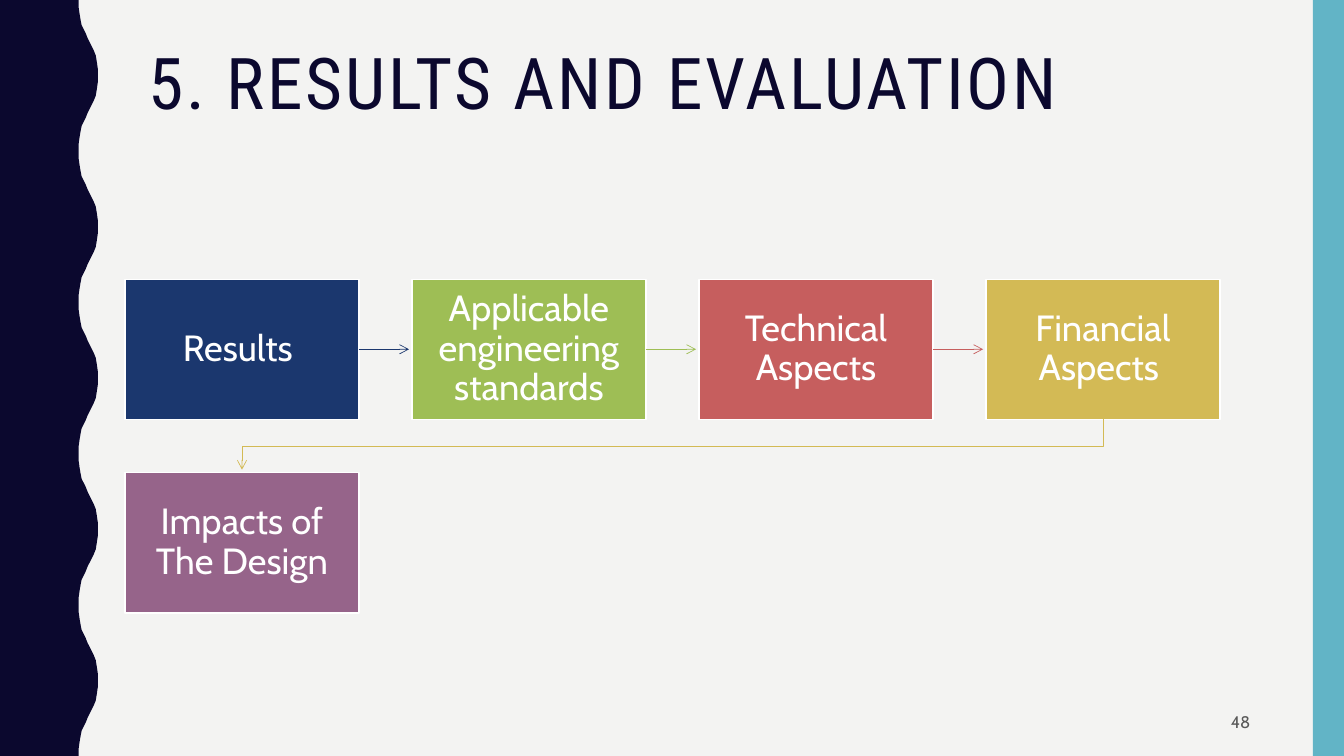
from dataclasses import dataclass

from lxml.etree import SubElement
from pptx import Presentation
from pptx.dml.color import RGBColor
from pptx.enum.shapes import MSO_CONNECTOR, MSO_SHAPE
from pptx.enum.text import MSO_ANCHOR, PP_ALIGN
from pptx.oxml.ns import qn
from pptx.util import Inches, Pt


@dataclass(frozen=True)
class Theme:
    background: str = "F3F3F2"
    navy: str = "0B082E"
    teal: str = "62B4C6"
    white: str = "FFFFFF"
    grey: str = "595959"
    steps: tuple = ("1B376E", "9EBE55", "C65E5E", "D3BA55", "96648A")
    title_font: str = "Roboto Condensed"
    body_font: str = "Cabin"
    title_size: int = 51
    step_size: int = 26
    number_size: int = 12


theme = Theme()


def style_text(paragraph, font_name, size, color, align):
    paragraph.alignment = align
    for span in paragraph.runs:
        span.font.name = font_name
        span.font.size = Pt(size)
        span.font.color.rgb = RGBColor.from_string(color)


def style_arrow(arrow, color):
    arrow.line.color.rgb = RGBColor.from_string(color)
    arrow.line.width = Pt(0.5)
    SubElement(arrow.line._get_or_add_ln(), qn("a:tailEnd"), type="arrow")
    SubElement(arrow._element.spPr, qn("a:effectLst"))


deck = Presentation()
deck.slide_width = Inches(13.33)
deck.slide_height = Inches(7.5)
page = deck.slides.add_slide(deck.slide_layouts[5])
page.background.fill.solid()
page.background.fill.fore_color.rgb = RGBColor.from_string(theme.background)

# Wavy left edge: half a wave, mirrored and repeated five times
half_wave = [(0.78, 0), (0.78, 0.07), (0.79, 0.14), (0.8, 0.2), (0.81, 0.25),
             (0.83, 0.29), (0.85, 0.33), (0.87, 0.38), (0.89, 0.42), (0.91, 0.46),
             (0.93, 0.5), (0.95, 0.55), (0.96, 0.61), (0.97, 0.68), (0.97, 0.75)]
wave_height = 1.5
full_wave = half_wave + [(x, wave_height - y) for x, y in reversed(half_wave[:-1])]
edge = [(Inches(x), Inches(y + wave_height * turn))
        for turn in range(5) for x, y in full_wave]
builder = page.shapes.build_freeform(0, 0)
builder.add_line_segments(edge + [(0, Inches(7.5))], close=True)
wave = builder.convert_to_shape()

# Right band
band = page.shapes.add_shape(MSO_SHAPE.RECTANGLE, Inches(13.02), 0, Inches(0.31), Inches(7.5))
for panel, color in ((wave, theme.navy), (band, theme.teal)):
    panel.shadow.inherit = False
    panel.fill.solid()
    panel.fill.fore_color.rgb = RGBColor.from_string(color)
    panel.line.fill.background()

# Title
title = page.shapes.title
title.left, title.top = Inches(1.37), Inches(0.42)
title.width, title.height = Inches(11.13), Inches(1.63)
title.text_frame.text = "5. RESULTS AND EVALUATION"
title.text_frame.vertical_anchor = MSO_ANCHOR.TOP
para = title.text_frame.paragraphs[0]
para.line_spacing = 0.9
style_text(para, theme.title_font, theme.title_size, theme.navy, PP_ALIGN.LEFT)
para.runs[0].font._element.set("spc", "200")

# Step boxes, four to a row
labels = ["Results ", "Applicable engineering standards", "Technical Aspects",
          "Financial Aspects ", "Impacts of The Design"]
columns = 4
left, top = 1.24, 2.77
width, height = 2.32, 1.39
column_step, row_step = 8.54 / 3, 1.92
boxes = []
for index, (label, color) in enumerate(zip(labels, theme.steps)):
    row, column = divmod(index, columns)
    box = page.shapes.add_shape(
        MSO_SHAPE.RECTANGLE, Inches(left + column * column_step),
        Inches(top + row * row_step), Inches(width), Inches(height))
    box.shadow.inherit = False
    box.fill.solid()
    box.fill.fore_color.rgb = RGBColor.from_string(color)
    box.line.color.rgb = RGBColor.from_string(theme.white)
    box.line.width = Pt(1)
    frame = box.text_frame
    frame.text = label
    frame.word_wrap = True
    frame.vertical_anchor = MSO_ANCHOR.MIDDLE
    frame.margin_left = frame.margin_right = Inches(0.11)
    frame.margin_top = frame.margin_bottom = Inches(0.12)
    frame.paragraphs[0].line_spacing = 0.9
    style_text(frame.paragraphs[0], theme.body_font, theme.step_size, theme.white,
               PP_ALIGN.CENTER)
    boxes.append(box)

# Arrows along the first row, stopping just short of the next box
gap = Inches(0.03)
for box, following, color in zip(boxes, boxes[1:columns], theme.steps):
    middle = box.top + box.height // 2
    arrow = page.shapes.add_connector(
        MSO_CONNECTOR.STRAIGHT, box.left + box.width, middle, following.left - gap, middle)
    arrow.begin_connect(box, 3)
    style_arrow(arrow, color)

# Elbow arrow from the end of the first row to the second, turned to leave downwards
last, below = boxes[columns - 1], boxes[columns]
start_y = last.top + last.height
drop = below.top - gap - start_y
run = last.left - below.left
center_x = below.left + below.width // 2 + run // 2
center_y = start_y + drop // 2
elbow = page.shapes.add_connector(
    MSO_CONNECTOR.ELBOW, center_x - drop // 2, center_y - run // 2,
    center_x + drop // 2, center_y + run // 2)
elbow._element.spPr.find(qn("a:xfrm")).set("rot", "5400000")
adjustments = elbow._element.spPr.find(qn("a:prstGeom")).find(qn("a:avLst"))
SubElement(adjustments, qn("a:gd"), name="adj1", fmla="val 54000")
style_arrow(elbow, theme.steps[columns - 1])

# Slide number
number = page.shapes.add_textbox(Inches(9.42), Inches(6.97), Inches(3.08), Inches(0.38))
number.text_frame.text = "48"
number.text_frame.word_wrap = True
number.text_frame.vertical_anchor = MSO_ANCHOR.MIDDLE
style_text(number.text_frame.paragraphs[0], theme.body_font, theme.number_size,
           theme.grey, PP_ALIGN.RIGHT)

deck.save("out.pptx")
